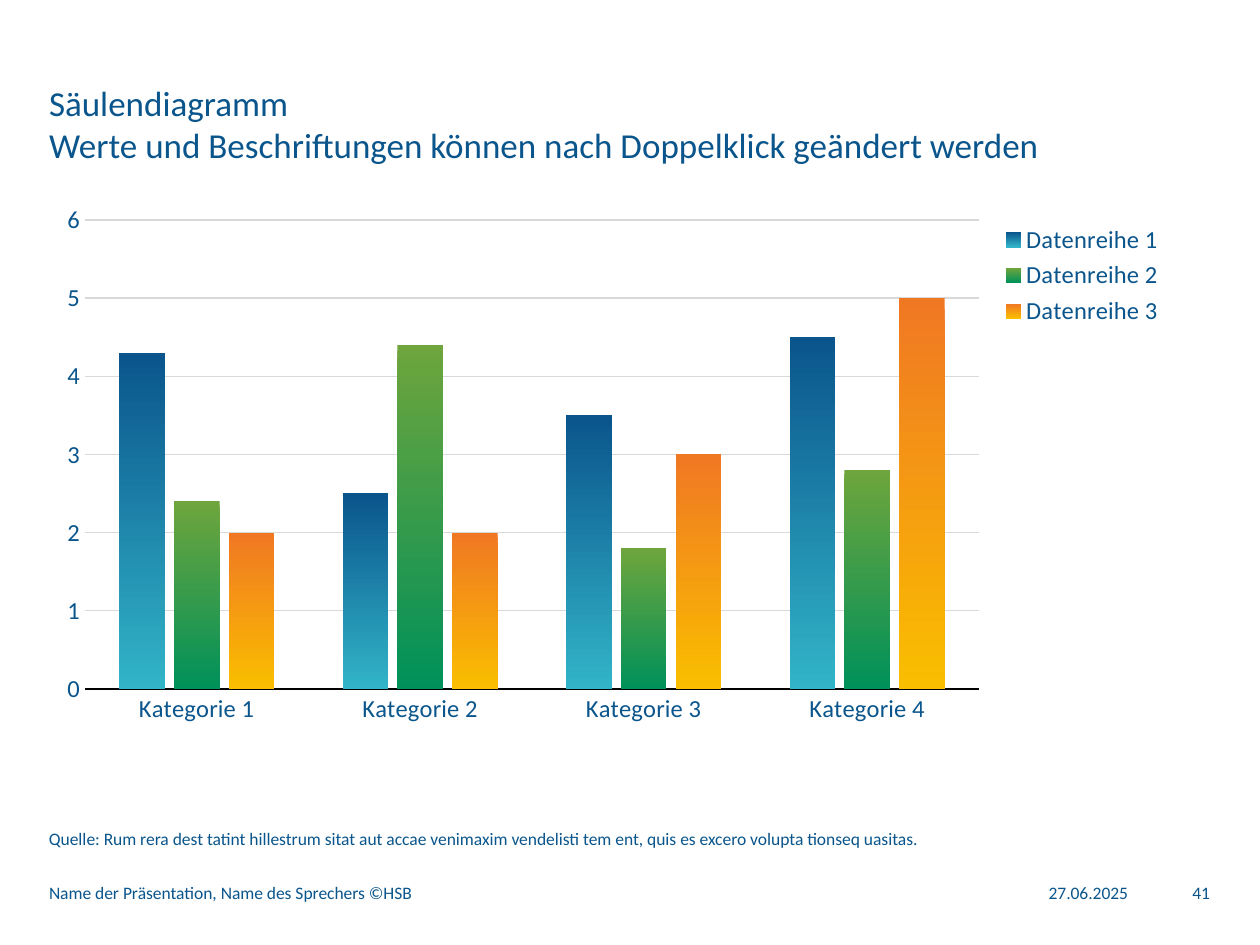
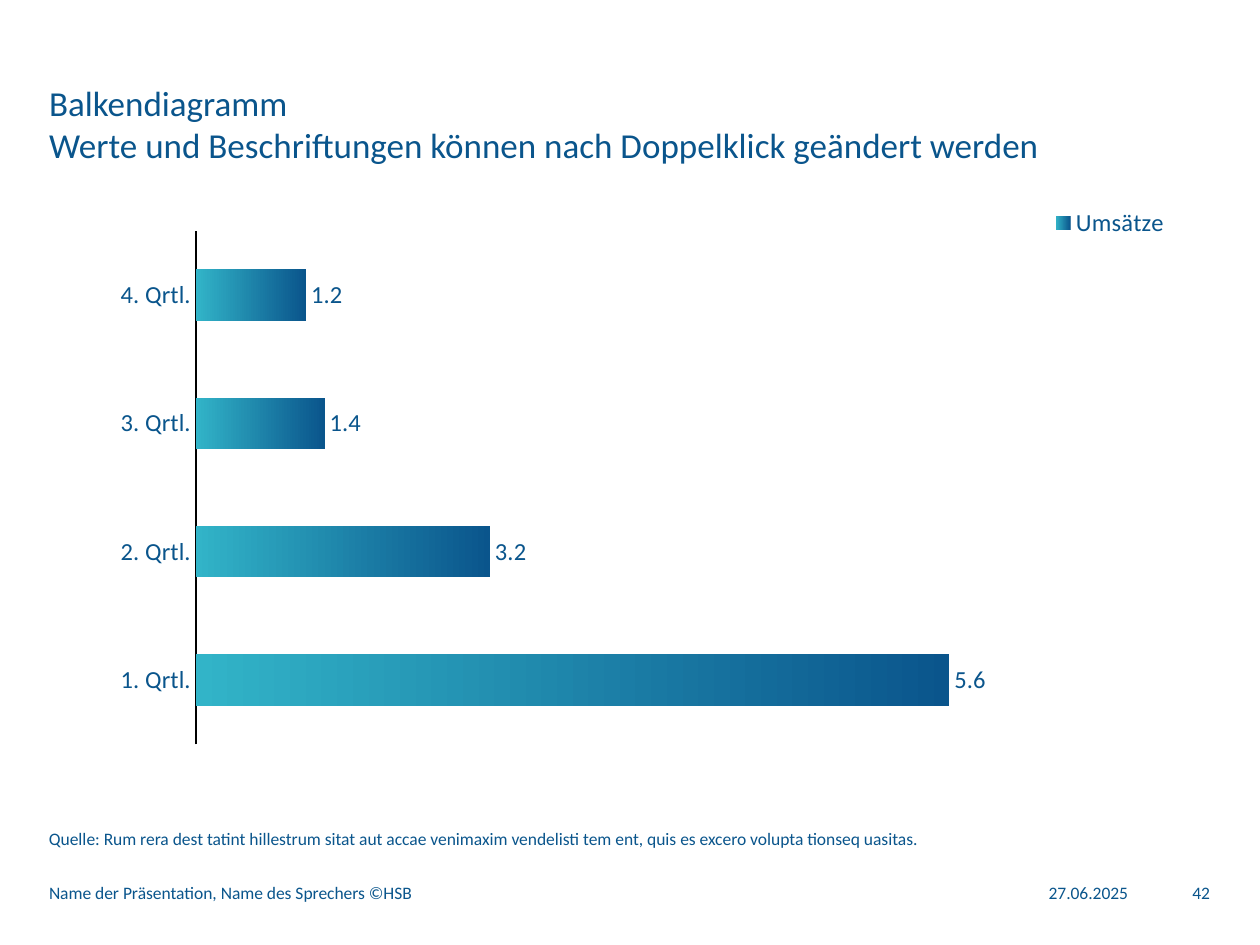
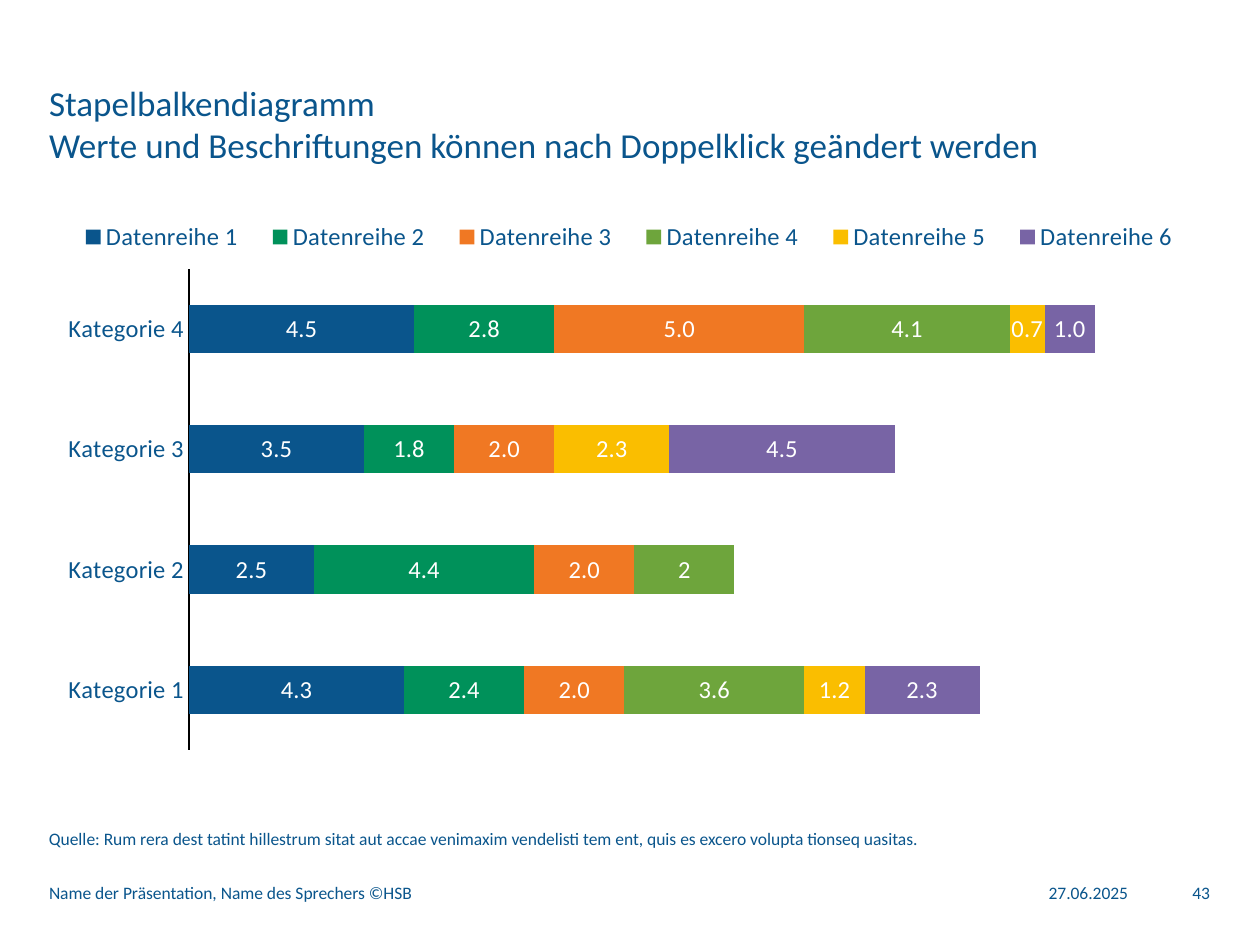
from lxml.etree import SubElement
from pptx import Presentation
from pptx.chart.data import CategoryChartData
from pptx.dml.color import RGBColor
from pptx.enum.chart import (XL_CHART_TYPE, XL_LABEL_POSITION,
                             XL_LEGEND_POSITION, XL_TICK_MARK)
from pptx.enum.text import MSO_ANCHOR, PP_ALIGN
from pptx.oxml.ns import qn
from pptx.util import Pt

# Shared style
PX = 914400 / 126
FONT = "Calibri"
COLORS = {
    "blue": "0A558C", "cyan": "32B4C8", "green": "00915A", "lime": "6EA53C",
    "orange": "F07823", "yellow": "FABE00", "purple": "7864A5",
    "grid": "D9D9D9", "black": "000000", "white": "FFFFFF",
}
DOWN, RIGHT = 270, 0  # gradient directions, counter-clockwise

# Shared text and boxes (left, top, width, height in px)
SUBTITLE = "Werte und Beschriftungen können nach Doppelklick geändert werden"
TITLE_BOX = (49, 81, 1160, 84)
SOURCE = ("Quelle: Rum rera dest tatint hillestrum sitat aut accae venimaxim "
          "vendelisti tem ent, quis es excero volupta tionseq uasitas.")
SOURCE_BOX = (49, 824, 1162, 25)
DATE, DATE_BOX = "27.06.2025", (1022, 881, 106, 22)
FOOTER, FOOTER_BOX = "Name der Präsentation, Name des Sprechers ©HSB", (49, 881, 937, 22)
NUMBER_BOX = (1155, 881, 55, 22)
FIRST_NUMBER = 41

# Slide content: series are (name, values, colours[, label format])
CATEGORIES = [f"Kategorie {n}" for n in range(1, 5)]
ONE_DECIMAL = "#,##0.0"
SLIDES = [
    {
        "title": "Säulendiagramm",
        "type": XL_CHART_TYPE.COLUMN_CLUSTERED,
        "box": (48, 199, 1163, 559),
        "plot": (85, 220, 894, 469),
        "legend": (995, 219, 174, 113),
        "categories": CATEGORIES,
        "overlap": -20, "maximum": 6, "gradient": DOWN, "show_values": True,
        "series": [
            ("Datenreihe 1", (4.3, 2.5, 3.5, 4.5), ("blue", "cyan")),
            ("Datenreihe 2", (2.4, 4.4, 1.8, 2.8), ("lime", "green")),
            ("Datenreihe 3", (2, 2, 3, 5), ("orange", "yellow")),
        ],
    },
    {
        "title": "Balkendiagramm",
        "type": XL_CHART_TYPE.BAR_CLUSTERED,
        "box": (97, 186, 1163, 559),
        "plot": (196, 232, 827, 514),
        "legend": (1049, 204, 122, 38),
        "categories": [f"{n}. Qrtl." for n in range(1, 5)],
        "overlap": 0, "maximum": 9, "gradient": RIGHT,
        "label_color": "blue", "label_position": XL_LABEL_POSITION.OUTSIDE_END,
        "custom_labels": {0: "5.6"},
        "series": [("Umsätze", (8.2, 3.2, 1.4, 1.2), ("cyan", "blue"), "General")],
    },
    {
        "title": "Stapelbalkendiagramm",
        "type": XL_CHART_TYPE.BAR_STACKED,
        "box": (48, 199, 1163, 559),
        "plot": (189, 269, 1001, 481),
        "legend": (59, 219, 1140, 36),
        "categories": CATEGORIES,
        "overlap": 100, "maximum": 20,
        "label_color": "white", "label_position": XL_LABEL_POSITION.CENTER,
        "series": [
            ("Datenreihe 1", (4.3, 2.5, 3.5, 4.5), ("blue",), ONE_DECIMAL),
            ("Datenreihe 2", (2.4, 4.4, 1.8, 2.8), ("green",), ONE_DECIMAL),
            ("Datenreihe 3", (2, 2, 2, 5), ("orange",), ONE_DECIMAL),
            ("Datenreihe 4", (3.6, 2, None, 4.1), ("lime",), "General"),
            ("Datenreihe 5", (1.2, None, 2.3, 0.7), ("yellow",), ONE_DECIMAL),
            ("Datenreihe 6", (2.3, None, 4.5, 1), ("purple",), ONE_DECIMAL),
        ],
    },
]


def rgb(name):
    return RGBColor.from_string(COLORS[name])


def emu(box):
    return [round(v * PX) for v in box]


def set_font(font, size, color="blue"):
    font.name, font.size = FONT, Pt(size)
    font.color.rgb = rgb(color)


def fill_text(sp, text, size, anchor, align=PP_ALIGN.LEFT):
    tf = sp.text_frame
    tf.word_wrap = True
    tf.margin_left = tf.margin_right = tf.margin_top = tf.margin_bottom = 0
    tf.vertical_anchor = anchor
    p = tf.paragraphs[0]
    p.text = text
    p.alignment = align
    for r in p.runs:
        set_font(r.font, size)


def add_text(slide, text, box, anchor=MSO_ANCHOR.MIDDLE, align=PP_ALIGN.LEFT):
    fill_text(slide.shapes.add_textbox(*emu(box)), text, 10, anchor, align)


def add_frame(slide, title, number):
    """Title, source line and footer."""
    sp = slide.shapes.title
    sp.left, sp.top, sp.width, sp.height = emu(TITLE_BOX)
    fill_text(sp, f"{title}\v{SUBTITLE}", 20, MSO_ANCHOR.TOP)
    add_text(slide, SOURCE, SOURCE_BOX, MSO_ANCHOR.BOTTOM)
    add_text(slide, DATE, DATE_BOX, align=PP_ALIGN.RIGHT)
    add_text(slide, FOOTER, FOOTER_BOX)
    add_text(slide, str(number), NUMBER_BOX, align=PP_ALIGN.RIGHT)


def place(parent, index, box, chart_box, inner=False):
    """Give a chart part a fixed place, as fractions of the chart."""
    for old in parent.findall(qn("c:layout")):
        parent.remove(old)
    layout = SubElement(parent, qn("c:layout"))
    parent.insert(index, layout)
    manual = SubElement(layout, qn("c:manualLayout"))
    if inner:
        SubElement(manual, qn("c:layoutTarget")).set("val", "inner")
    for mode in ("xMode", "yMode"):
        SubElement(manual, qn(f"c:{mode}")).set("val", "edge")
    left, top, width, height = chart_box
    x, y, w, h = box
    parts = {"x": (x - left) / width, "y": (y - top) / height,
             "w": w / width, "h": h / height}
    for tag, value in parts.items():
        SubElement(manual, qn(f"c:{tag}")).set("val", f"{value:.4f}")


def paint(fill, colors, angle):
    if len(colors) == 1:
        fill.solid()
        fill.fore_color.rgb = rgb(colors[0])
        return
    fill.gradient()
    fill.gradient_angle = angle
    for stop, color in zip(fill.gradient_stops, colors):
        stop.color.rgb = rgb(color)


def format_axes(chart, data):
    cat, val = chart.category_axis, chart.value_axis
    for axis in (cat, val):
        axis.major_tick_mark = axis.minor_tick_mark = XL_TICK_MARK.NONE
    cat.format.line.color.rgb = rgb("black")
    cat.format.line.width = Pt(0.75)
    val.minimum_scale, val.maximum_scale = 0, data["maximum"]
    val.visible = val.has_major_gridlines = data.get("show_values", False)
    if val.visible:
        val.major_unit = 1
        val.format.line.fill.background()
        line = val.major_gridlines.format.line
        line.color.rgb = rgb("grid")
        line.width = Pt(0.75)


def add_labels(series, data, number_format):
    labels = series.data_labels
    labels.show_value = True
    labels.number_format = number_format
    labels.number_format_is_linked = False
    labels.position = data["label_position"]
    set_font(labels.font, 14, data["label_color"])
    for index, text in data.get("custom_labels", {}).items():
        label = series.points[index].data_label
        label.text_frame.text = text
        set_font(label.text_frame.paragraphs[0].runs[0].font, 14, data["label_color"])
        label.position = data["label_position"]


def add_chart(slide, data):
    chart_data = CategoryChartData()
    chart_data.categories = data["categories"]
    for name, values, *_ in data["series"]:
        chart_data.add_series(name, values)
    chart = slide.shapes.add_chart(data["type"], *emu(data["box"]), chart_data).chart
    chart.has_title = False
    set_font(chart.font, 14)
    format_axes(chart, data)

    # Bars and their labels
    plot = chart.plots[0]
    plot.gap_width, plot.overlap = 150, data["overlap"]
    plot.vary_by_categories = False
    for series, (_, _, colors, *formats) in zip(plot.series, data["series"]):
        series.invert_if_negative = False
        paint(series.format.fill, colors, data.get("gradient"))
        for number_format in formats:
            add_labels(series, data, number_format)

    # Legend and plot area
    chart.has_legend = True
    legend = chart.legend
    legend.position = XL_LEGEND_POSITION.RIGHT
    legend.include_in_layout = False
    set_font(legend.font, 14)
    place(legend._element, 1, data["legend"], data["box"])
    place(chart._chartSpace.chart.plotArea, 0, data["plot"], data["box"], inner=True)


def main():
    prs = Presentation()
    prs.slide_width, prs.slide_height = emu((1260, 945))
    for number, data in enumerate(SLIDES, FIRST_NUMBER):
        slide = prs.slides.add_slide(prs.slide_layouts[5])
        add_chart(slide, data)
        add_frame(slide, data["title"], number)
    prs.save("out.pptx")


if __name__ == "__main__":
    main()
